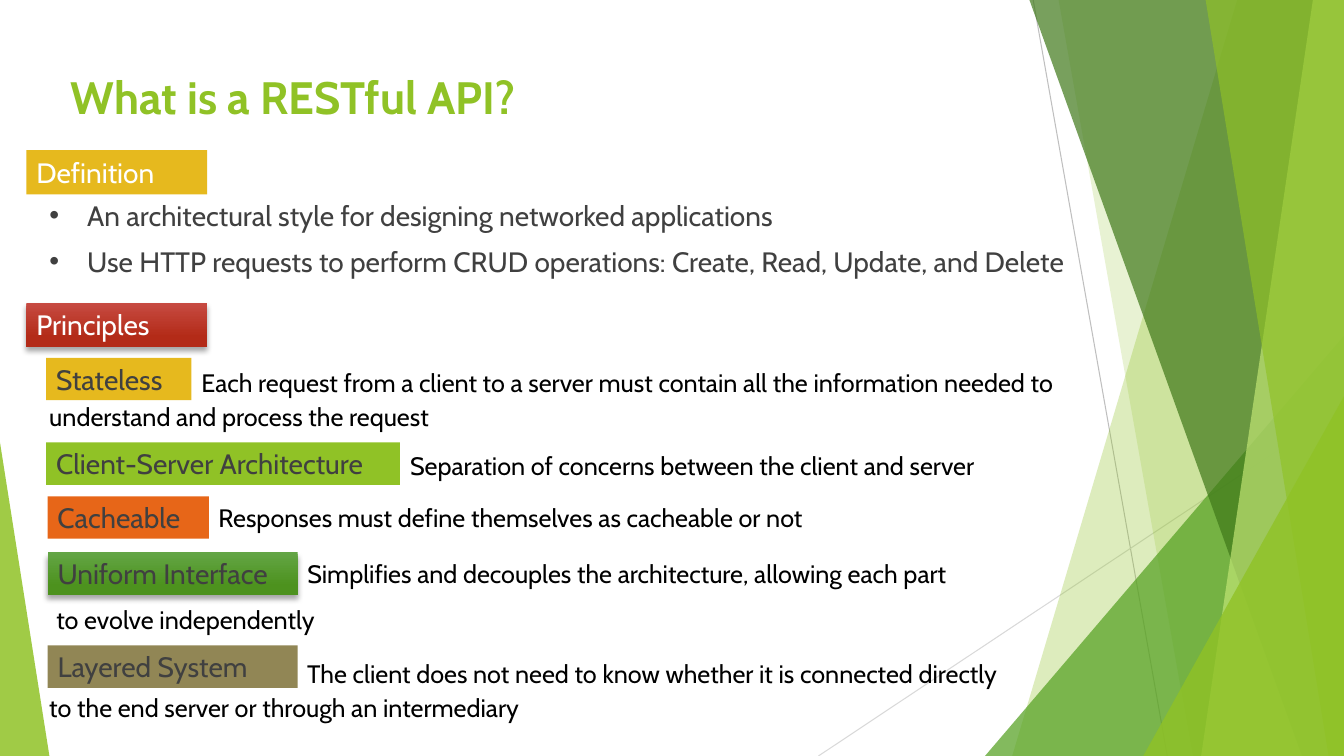
from dataclasses import dataclass

from lxml.etree import SubElement
from pptx import Presentation
from pptx.dml.color import RGBColor
from pptx.enum.shapes import MSO_CONNECTOR as Link, MSO_SHAPE as Kind
from pptx.enum.text import MSO_ANCHOR as Anchor, MSO_AUTO_SIZE as Fit, PP_ALIGN as Align
from pptx.oxml.ns import qn
from pptx.util import Pt


@dataclass(frozen=True)
class Theme:
    face: str = "Cabin"
    head: float = 32.4
    label: float = 20
    note: float = 18
    lime: str = "90C226"
    green: str = "54A021"
    moss: str = "3F7819"
    pale: str = "C0E474"
    gold: str = "E6B91E"
    orange: str = "E76618"
    olive: str = "918655"
    reds: tuple = ("C74B42", "B32B18")
    greens: tuple = ("63A545", "4D921E")
    white: str = "FFFFFF"
    black: str = "000000"
    gray: str = "404040"
    rule: str = "BFBFBF"
    faint: str = "D9D9D9"


theme = Theme()


def paint(shape, color, alpha=100):
    """Fill a shape without outline; a pair of colours gives a shaded fill with a shadow."""
    shape.shadow.inherit = False
    shape.line.fill.background()
    props = shape.element.spPr
    if isinstance(color, tuple):
        shape.fill.gradient()
        shape.fill.gradient_angle = 270
        for stop, tone, place in zip(shape.fill.gradient_stops, color, (0, 0.78)):
            stop.color.rgb = RGBColor.from_string(tone)
            stop.position = place
        cast = SubElement(props.find(qn("a:effectLst")), qn("a:outerShdw"),
                          blurRad=str(Pt(4)), dist=str(Pt(3)), dir="5400000", rotWithShape="0")
        shade = SubElement(cast, qn("a:srgbClr"), val=theme.black)
        SubElement(shade, qn("a:alpha"), val="35000")
        return
    shape.fill.solid()
    shape.fill.fore_color.rgb = RGBColor.from_string(color)
    if alpha < 100:
        tint = props.find(qn("a:solidFill")).find(qn("a:srgbClr"))
        SubElement(tint, qn("a:alpha"), val=str(alpha * 1000))


def write(frame, lines, size, color, anchor=Anchor.TOP):
    """Put left-aligned lines into a text frame and return its paragraphs."""
    frame.word_wrap = True
    frame.auto_size = Fit.NONE
    frame.vertical_anchor = anchor
    frame.text = "\n".join(lines)
    for para in frame.paragraphs:
        para.alignment = Align.LEFT
        para.space_before = Pt(0)
        para.font.name = theme.face
        para.font.size = Pt(size)
        para.font.color.rgb = RGBColor.from_string(color)
    return frame.paragraphs


deck = Presentation()
deck.slide_width, deck.slide_height = Pt(960), Pt(540)
slide = deck.slides.add_slide(deck.slide_layouts[1])
shapes = slide.shapes
title, body = slide.placeholders

# Facets at the right and left edges
for x1, y1, x2, y2, color in (
    (738, 0, 833.8, 540, theme.rule),
    (960, 290.2, 584.6, 540, theme.faint),
):
    line = shapes.add_connector(Link.STRAIGHT, Pt(x1), Pt(y1), Pt(x2), Pt(y2))
    line.line.width = Pt(0.75)
    line.line.color.rgb = RGBColor.from_string(color)
    SubElement(line.element.spPr, qn("a:effectLst"))

# A facet has a top and a bottom corner; a wedge has left, top and lean
for kind, spot, color, alpha in (
    ("facet", (884.2, 722.9), theme.lime, 30),
    ("facet", (756, 851.8), theme.lime, 20),
    ("wedge", (703.6, 239.8, 256.4, 1), theme.green, 72),
    ("facet", (735.2, 929.5), theme.moss, 70),
    ("facet", (938.2, 858.2), theme.pale, 70),
    ("facet", (861.1, 949), theme.lime, 65),
    ("wedge", (816.6, 283, 143.4, 1), theme.lime, 80),
    ("wedge", (0, 316.1, 35.3, 0), theme.lime, 85),
):
    if kind == "facet":
        top, foot = spot
        pen = shapes.build_freeform(top, -0.6, scale=Pt(1))
        pen.add_line_segments([(960, -0.6), (960, 540), (foot, 540)], close=True)
        shape = pen.convert_to_shape()
    else:
        x, y, wide, lean = spot
        shape = shapes.add_shape(Kind.ISOSCELES_TRIANGLE, Pt(x), Pt(y), Pt(wide), Pt(540 - y))
        shape.adjustments[0] = lean
    paint(shape, color, alpha)

# Title and definition list, in front of the facets
tree = title.element.getparent()
for holder, box in ((title, (43.2, 46, 348.5, 42.5)), (body, (28.1, 138.2, 791.3, 61.2))):
    tree.append(holder.element)
    holder.left, holder.top, holder.width, holder.height = map(Pt, box)

write(title.text_frame, ["What is a RESTful API?"], theme.head, theme.lime)[0].font.bold = True

points = ["An architectural style for designing networked applications",
          "Use HTTP requests to perform CRUD operations: Create, Read, Update, and Delete"]
body.text_frame.text = "\n".join(points)
for para in body.text_frame.paragraphs:
    props = para._p.get_or_add_pPr()
    props.set("marL", str(Pt(27)))
    props.set("indent", str(-Pt(27)))
    SubElement(SubElement(props, qn("a:buClr")), qn("a:srgbClr"), val=theme.lime)
    SubElement(props, qn("a:buSzPct"), val="85000")
    SubElement(props, qn("a:buChar"), char="▶")
items = write(body.text_frame, points, theme.label, theme.gray)
items[1].space_before = Pt(8.6)

# Section labels and principle labels
for text, x, y, wide, high, fill, ink in (
    ("Definition", 18.9, 107.3, 129, 31.5, theme.gold, theme.white),
    ("Principles", 18.9, 216.2, 129, 31.5, theme.reds, theme.white),
    ("Stateless", 33, 255.6, 103.7, 30.3, theme.gold, theme.gray),
    ("Client-Server Architecture", 33, 316, 252.7, 30.3, theme.lime, theme.gray),
    ("Cacheable", 34, 354.5, 115.2, 30.3, theme.orange, theme.gray),
    ("Uniform Interface", 34, 394.6, 178.6, 30.3, theme.greens, theme.gray),
    ("Layered System", 34, 461, 178.6, 30.3, theme.olive, theme.gray),
):
    chip = shapes.add_shape(Kind.RECTANGLE, Pt(x), Pt(y), Pt(wide), Pt(high))
    paint(chip, fill)
    write(chip.text_frame, [text], theme.label, ink, Anchor.MIDDLE)

# Explanations beside and below the principle labels
for text, x, y, wide in (
    ("Each request from a client to a server must contain all the information needed to",
     136.8, 258.5, 676.8),
    ("understand and process the request", 28.1, 283, 303.8),
    ("Separation of concerns between the client and server", 285.8, 318.2, 452.2),
    ("Responses must define themselves as cacheable or not", 149, 355, 460),
    ("Simplifies and decouples the architecture, allowing each part", 212.4, 395.3, 512.6),
    ("to evolve independently", 33.1, 428.4, 212.4),
    ("The client does not need to know whether it is connected directly", 212.4, 466.6, 563.8),
    ("to the end server or through an intermediary", 28.1, 491, 381.6),
):
    note = shapes.add_textbox(Pt(x), Pt(y), Pt(wide), Pt(29))
    write(note.text_frame, [text], theme.note, theme.black)

deck.save("out.pptx")
